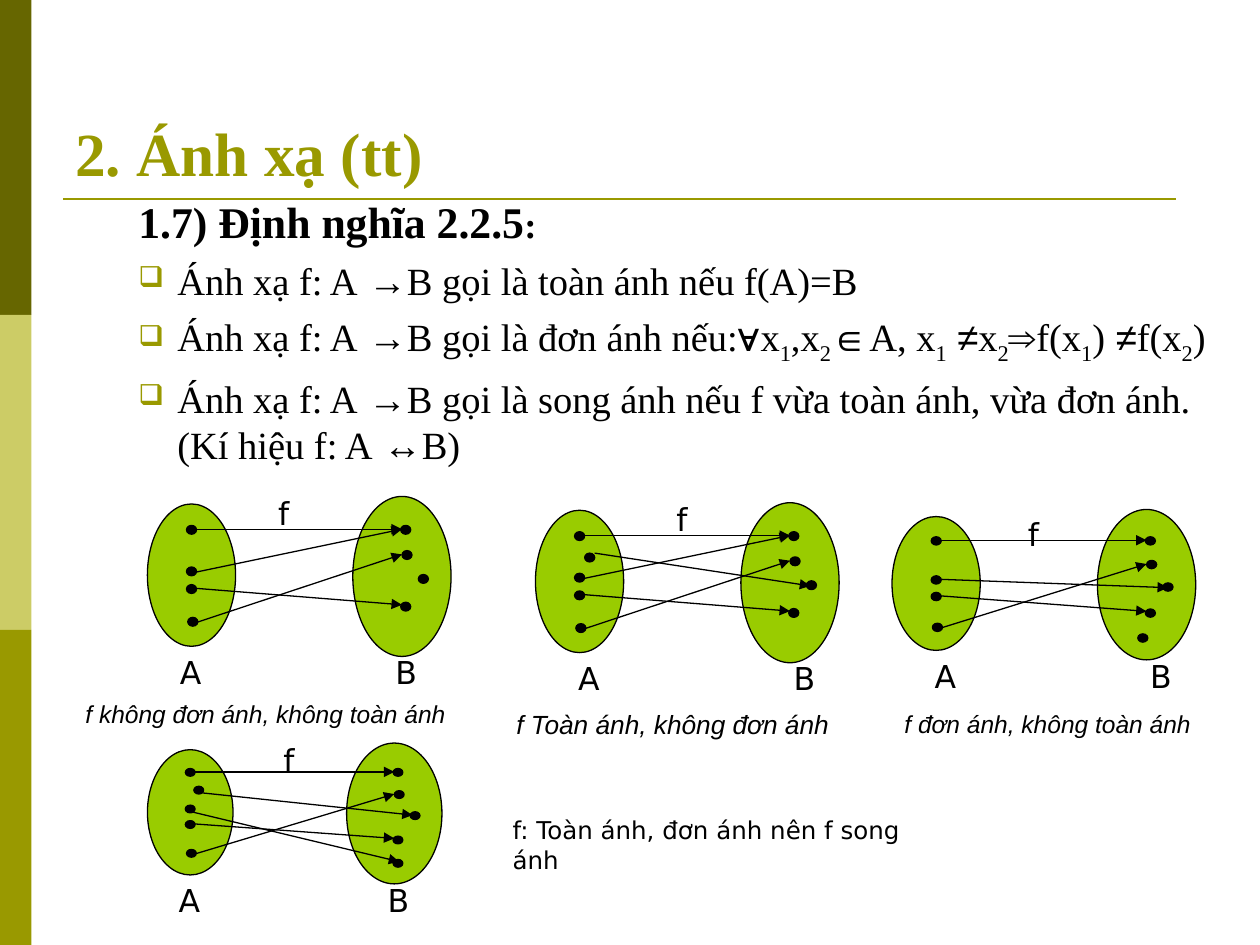
from lxml.etree import SubElement
from pptx import Presentation
from pptx.dml.color import RGBColor
from pptx.enum.shapes import MSO_CONNECTOR, MSO_SHAPE
from pptx.enum.text import MSO_ANCHOR
from pptx.oxml.ns import qn
from pptx.util import Inches, Pt

BLACK = RGBColor(0, 0, 0)
OLIVE = RGBColor(0x99, 0x99, 0x00)
DARK_OLIVE = RGBColor(0x66, 0x66, 0x00)
PALE_OLIVE = RGBColor(0xCC, 0xCC, 0x66)
GREEN = RGBColor(0x99, 0xCC, 0x00)
SERIF, SANS, LABEL_FONT = "Times New Roman", "Arial", "DejaVu Sans"

# Runs are parted by "|": a lone symbol is set in Arial, a lone digit is a subscript.
SYMBOLS = set("→∀∈≠⇒↔")
BULLETS = [
    "Ánh xạ f: A| →|B gọi là toàn ánh nếu f(A)=B",
    "Ánh xạ f: A| →|B gọi là đơn ánh nếu:|∀|x|1|,x|2|∈|A, x|1| ≠|x|2|⇒|f(x|1|)| ≠|f(x|2|)",
    "Ánh xạ f: A| →|B gọi là song ánh nếu f vừa toàn ánh, vừa đơn ánh. (Kí hiệu f: A| ↔|B)",
]

# Offsets from the corner of oval A, before scaling.
COMMON_DOTS = [(0.31, 0.17), (0.31, 0.5), (0.31, 0.64), (0.32, 0.9),
               (2.01, 0.17), (2.02, 0.37), (2.15, 0.56), (2.01, 0.78)]
COMMON_ARROWS = [(0.39, 0.2, 2.02, 0.2), (0.39, 0.67, 2.02, 0.8),
                 (0.39, 0.94, 2.02, 0.4)]
SHARED_IMAGE = (0.39, 0.54, 2.02, 0.2)

MAPPINGS = [
    dict(origin=(1.17, 4), scale=(1, 1), label_x=0.16, f_at=(0.94, -0.13),
         dots=[], arrows=[SHARED_IMAGE]),
    dict(origin=(4.25, 4.05), scale=(1, 1), label_x=0.24, f_at=(1.02, -0.13),
         dots=[(0.39, 0.34)], arrows=[SHARED_IMAGE, (0.47, 0.34, 2.18, 0.6)]),
    dict(origin=(7.08, 4.1), scale=(1, 0.94), label_x=0.24, f_at=(0.98, -0.06),
         dots=[(1.95, 0.99)], arrows=[(0.39, 0.53, 2.19, 0.6)]),
    dict(origin=(1.17, 5.95), scale=(0.97, 0.88), label_x=0.15, f_at=(0.98, -0.12),
         dots=[(0.38, 0.33), (2.01, 0.99)],
         arrows=[(0.36, 0.56, 2.06, 1.01), (0.45, 0.39, 2.17, 0.59)]),
]
CAPTIONS = [
    ("f không đơn ánh, không toàn ánh", 0.58, 5.5, 3.5, 14),
    ("f Toàn ánh, không đơn ánh", 4, 5.57, 2.75, 15),
    ("f đơn ánh, không toàn ánh", 7.08, 5.58, 2.67, 14),
]


class SlideWriter:
    def __init__(self, page):
        self.page = page
        self.shapes = page.shapes

    def shape(self, kind, left, top, width, height, fill, outline=None):
        shape = self.shapes.add_shape(
            kind, Inches(left), Inches(top), Inches(width), Inches(height))
        shape.shadow.inherit = False
        shape.fill.solid()
        shape.fill.fore_color.rgb = fill
        if outline is None:
            shape.line.fill.background()
        else:
            shape.line.color.rgb = outline
            shape.line.width = Pt(0.75)

    def line(self, x1, y1, x2, y2, color=BLACK, width=0.75, arrow=True):
        line = self.shapes.add_connector(
            MSO_CONNECTOR.STRAIGHT, Inches(x1), Inches(y1), Inches(x2), Inches(y2))
        line.line.color.rgb = color
        line.line.width = Pt(width)
        if arrow:
            SubElement(line.line._get_or_add_ln(), qn("a:tailEnd"), type="triangle")
        SubElement(line._element.spPr, qn("a:effectLst"))

    def style(self, span, size, font, color=BLACK, bold=False, italic=False):
        span.font.size = Pt(size)
        span.font.name = font
        span.font.color.rgb = color
        span.font.bold = bold
        span.font.italic = italic

    def text(self, text, left, top, width, height, size, font, wrap=True, **look):
        box = self.shapes.add_textbox(
            Inches(left), Inches(top), Inches(width), Inches(height))
        box.text_frame.word_wrap = wrap
        box.text_frame.text = text
        for span in box.text_frame.paragraphs[0].runs:
            self.style(span, size, font, **look)
        return box

    def indent(self, para, space_before):
        para.space_before = Pt(space_before)
        properties = para._p.get_or_add_pPr()
        properties.set("marL", str(Inches(0.81)))
        properties.set("indent", str(Inches(-0.31)))
        return properties

    def bullet(self, frame, marked_text):
        para = frame.add_paragraph()
        properties = self.indent(para, 5.5)
        color = SubElement(properties, qn("a:buClr"))
        SubElement(color, qn("a:srgbClr"), val=str(OLIVE))
        SubElement(properties, qn("a:buSzPct"), val="75000")
        SubElement(properties, qn("a:buChar"), char="❑")
        for piece in marked_text.split("|"):
            span = para.add_run()
            span.text = piece
            self.style(span, 22, SANS if piece.strip() in SYMBOLS else SERIF)
            if piece.isdigit():
                span.font._element.set("baseline", "-25000")

    def mapping(self, origin, scale, label_x, f_at, dots, arrows):
        """Draw sets A and B with their elements and the arrows of f, as one group."""
        (left, top), (scale_x, scale_y) = origin, scale

        def place(x, y):
            return left + x * scale_x, top + y * scale_y

        def oval(x, y, width, height, fill):
            self.shape(MSO_SHAPE.OVAL, *place(x, y), width * scale_x,
                       height * scale_y, fill, BLACK)

        self.shapes = self.page.shapes.add_group_shape().shapes
        oval(0, 0, 0.7, 1.13, GREEN)
        oval(1.63, -0.06, 0.78, 1.27, GREEN)
        for x1, y1, x2, y2 in COMMON_ARROWS + arrows:
            self.line(*place(x1, y1), *place(x2, y2))
        for x, y in COMMON_DOTS + dots:
            oval(x, y, 0.08, 0.07, BLACK)
        label_top = top + 1.13 * scale_y
        for name, x, y, width in (
                ("A", left + label_x, label_top, 0.36),
                ("B", left + label_x + 1.71 * scale_x, label_top, 0.36),
                ("f", left + f_at[0], top + f_at[1], 0.28)):
            self.text(name, x, y, width, 0.4, 18, LABEL_FONT, wrap=False)
        self.shapes = self.page.shapes


def main():
    deck = Presentation()
    deck.slide_width, deck.slide_height = Inches(10), Inches(7.5)
    writer = SlideWriter(deck.slides.add_slide(deck.slide_layouts[6]))

    for row, color in enumerate((DARK_OLIVE, PALE_OLIVE, OLIVE)):
        writer.shape(MSO_SHAPE.RECTANGLE, 0, row * 2.5, 0.25, 2.5, color)
    writer.line(0.5, 1.58, 9.33, 1.58, OLIVE, 1.5, arrow=False)

    title = writer.text("2. Ánh xạ (tt)", 0.5, 0.3, 9, 1.25, 35, SERIF,
                        color=OLIVE, bold=True)
    title.text_frame.vertical_anchor = MSO_ANCHOR.BOTTOM

    body = writer.text("1.7) Định nghĩa 2.2.5", 0.5, 1.5, 9.5, 2.3, 25, SERIF, bold=True)
    heading = body.text_frame.paragraphs[0]
    writer.indent(heading, 5.2)
    colon = heading.add_run()
    colon.text = ":"
    writer.style(colon, 21, SERIF, bold=True)
    for marked_text in BULLETS:
        writer.bullet(body.text_frame, marked_text)

    for mapping in MAPPINGS:
        writer.mapping(**mapping)
    for text, left, top, width, size in CAPTIONS:
        writer.text(text, left, top, width, 0.34, size, SANS, italic=True)
    writer.text("f: Toàn ánh, đơn ánh nên f song ánh", 3.97, 6.42, 3.51, 0.34,
                14, LABEL_FONT)

    deck.save("out.pptx")


if __name__ == "__main__":
    main()
